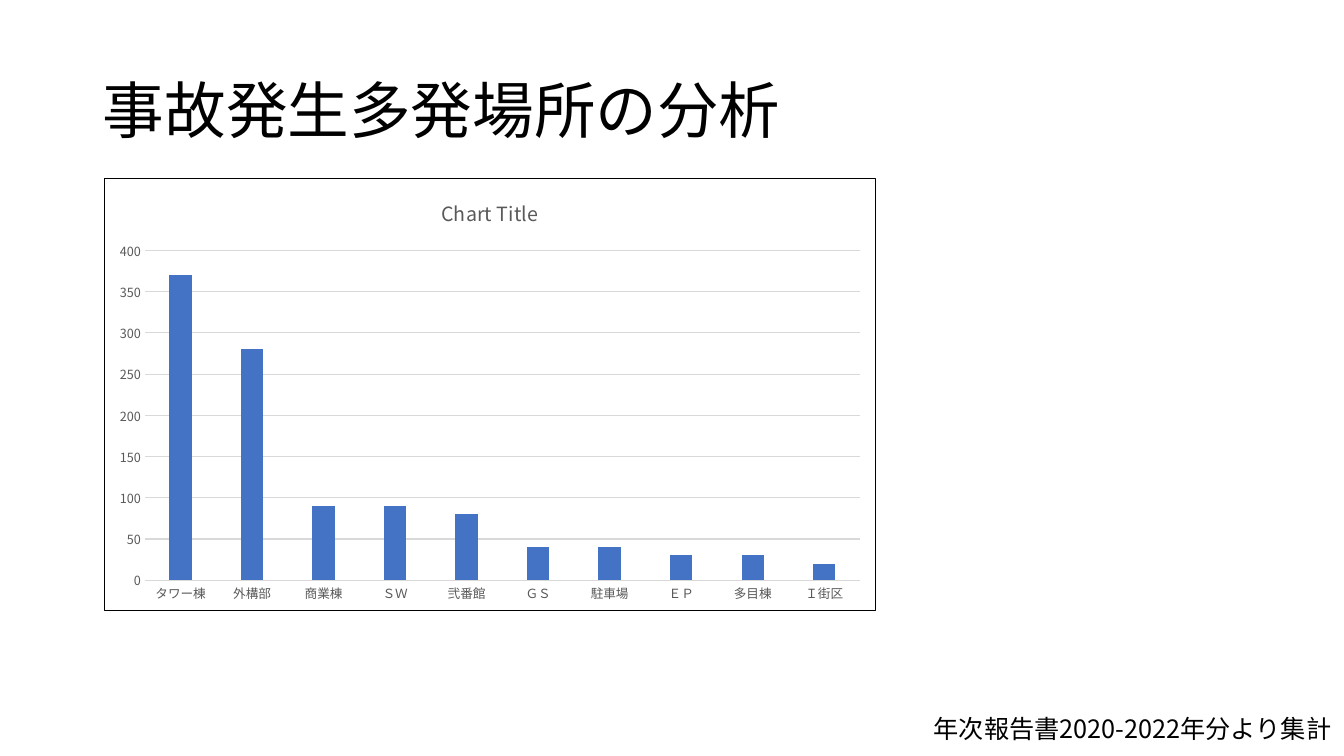
import pptx
import pptx.chart.data
import pptx.dml.color
import pptx.enum.chart
import pptx.enum.text
import pptx.oxml
import pptx.oxml.ns
import pptx.util

WIDE = pptx.util.Inches(13.33)
HIGH = pptx.util.Inches(7.5)
FACE = "Noto Sans CJK JP"
HUES = {"ink": "000000", "soft": "595959", "grid": "D9D9D9", "bar": "4472C4"}
SITES = {
    "タワー棟": 370, "外構部": 280, "商業棟": 90, "ＳＷ": 90, "弐番館": 80,
    "ＧＳ": 40, "駐車場": 40, "ＥＰ": 30, "多目棟": 30, "Ｉ街区": 20,
}


def hue(name):
    return pptx.dml.color.RGBColor.from_string(HUES[name])


def area(left, top, width, height):
    return [round(part * side / 100) for part, side in
            ((left, WIDE), (top, HIGH), (width, WIDE), (height, HIGH))]


def style(font, size, name):
    font.size = pptx.util.Pt(size)
    font.name = FACE
    font.bold = False
    font.color.rgb = hue(name)


def rule(line, name):
    line.color.rgb = hue(name)
    line.width = pptx.util.Pt(0.75)


def asian(root):
    for latin in list(root.iter(pptx.oxml.ns.qn("a:latin"))):
        latin.addnext(pptx.oxml.parse_xml(
            f'<a:ea {pptx.oxml.ns.nsdecls("a")} typeface="{FACE}"/>'))


def write(frame, text, size):
    frame.text = text
    para = frame.paragraphs[0]
    para.alignment = pptx.enum.text.PP_ALIGN.LEFT
    style(para.runs[0].font, size, "ink")
    return para


def head(slide, text, box):
    title = slide.shapes.title
    title.left, title.top, title.width, title.height = box
    frame = title.text_frame
    frame.auto_size = pptx.enum.text.MSO_AUTO_SIZE.NONE
    frame.vertical_anchor = pptx.enum.text.MSO_ANCHOR.MIDDLE
    write(frame, text, 44).line_spacing = 0.9


def note(slide, text, box):
    frame = slide.shapes.add_textbox(*box).text_frame
    frame.word_wrap = False
    frame.auto_size = pptx.enum.text.MSO_AUTO_SIZE.SHAPE_TO_FIT_TEXT
    write(frame, text, 18)


def border(chart):
    space = chart.element
    space.find(pptx.oxml.ns.qn("c:chart")).addnext(pptx.oxml.parse_xml(
        f'<c:spPr {pptx.oxml.ns.nsdecls("c", "a")}><a:noFill/><a:ln w="9525">'
        f'<a:solidFill><a:srgbClr val="{HUES["ink"]}"/></a:solidFill>'
        '</a:ln></c:spPr>'))


def axes(chart):
    for axis in (chart.category_axis, chart.value_axis):
        axis.major_tick_mark = pptx.enum.chart.XL_TICK_MARK.NONE
        axis.minor_tick_mark = pptx.enum.chart.XL_TICK_MARK.NONE
        style(axis.tick_labels.font, 9, "soft")
    rule(chart.category_axis.format.line, "grid")
    value = chart.value_axis
    value.format.line.fill.background()
    value.minimum_scale, value.maximum_scale, value.major_unit = 0, 400, 50
    rule(value.major_gridlines.format.line, "grid")


def bars(slide, title, sites, box):
    data = pptx.chart.data.CategoryChartData()
    data.categories = list(sites)
    data.add_series("Series 1", list(sites.values()))
    kind = pptx.enum.chart.XL_CHART_TYPE.COLUMN_CLUSTERED
    chart = slide.shapes.add_chart(kind, *box, data).chart
    style(chart.font, 10, "ink")
    chart.has_legend = False
    frame = chart.chart_title.text_frame
    frame.text = title
    style(frame.paragraphs[0].runs[0].font, 14, "soft")
    chart.chart_title.include_in_layout = False
    plot = chart.plots[0]
    plot.gap_width, plot.overlap = 219, -27
    plot.vary_by_categories = False
    fill = plot.series[0].format.fill
    fill.solid()
    fill.fore_color.rgb = hue("bar")
    axes(chart)
    border(chart)
    asian(chart.element)


def main():
    deck = pptx.Presentation()
    deck.slide_width, deck.slide_height = WIDE, HIGH
    slide = deck.slides.add_slide(deck.slide_layouts[5])
    head(slide, "事故発生多発場所の分析", area(6.9, 5.33, 86.27, 19.33))
    bars(slide, "Chart Title", SITES, area(7.73, 23.6, 57.45, 57.25))
    note(slide, "年次報告書2020-2022年分より集計", area(68.74, 93.7, 31.96, 5.33))
    asian(slide.element)
    deck.save("out.pptx")


if __name__ == "__main__":
    main()
